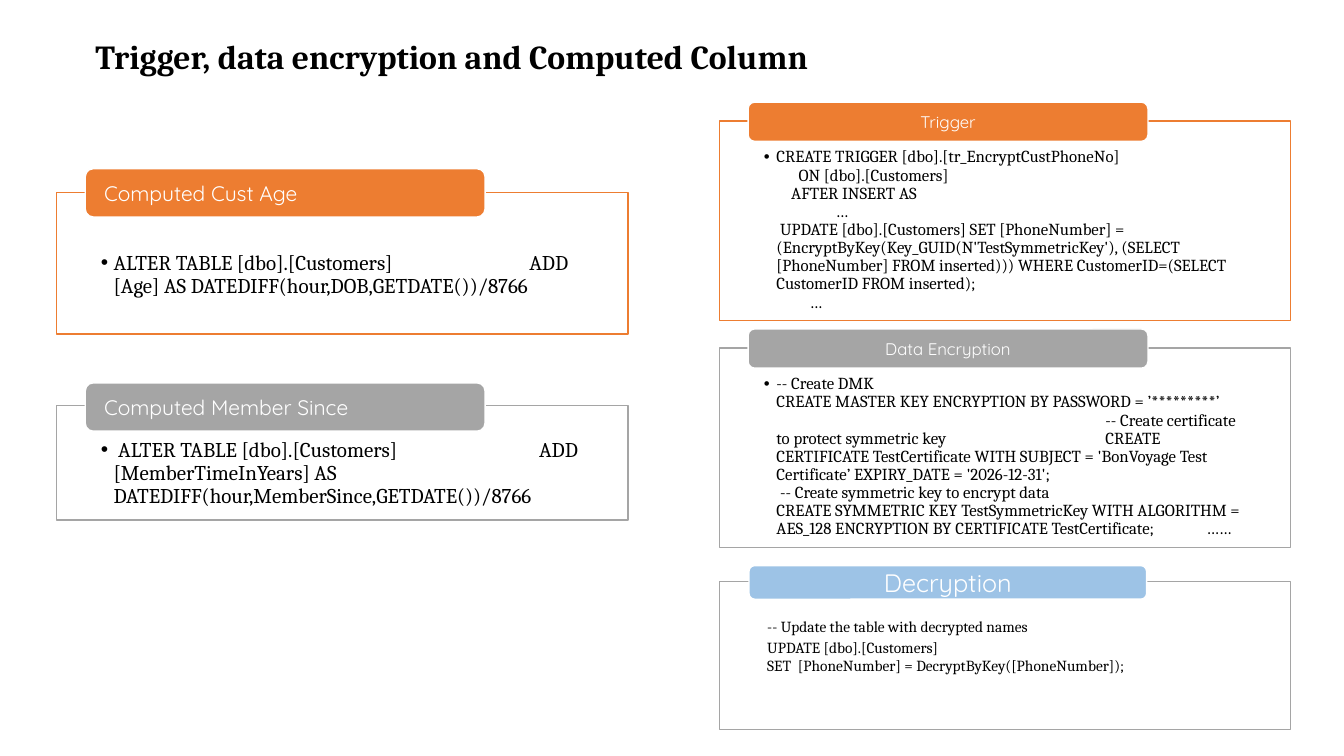
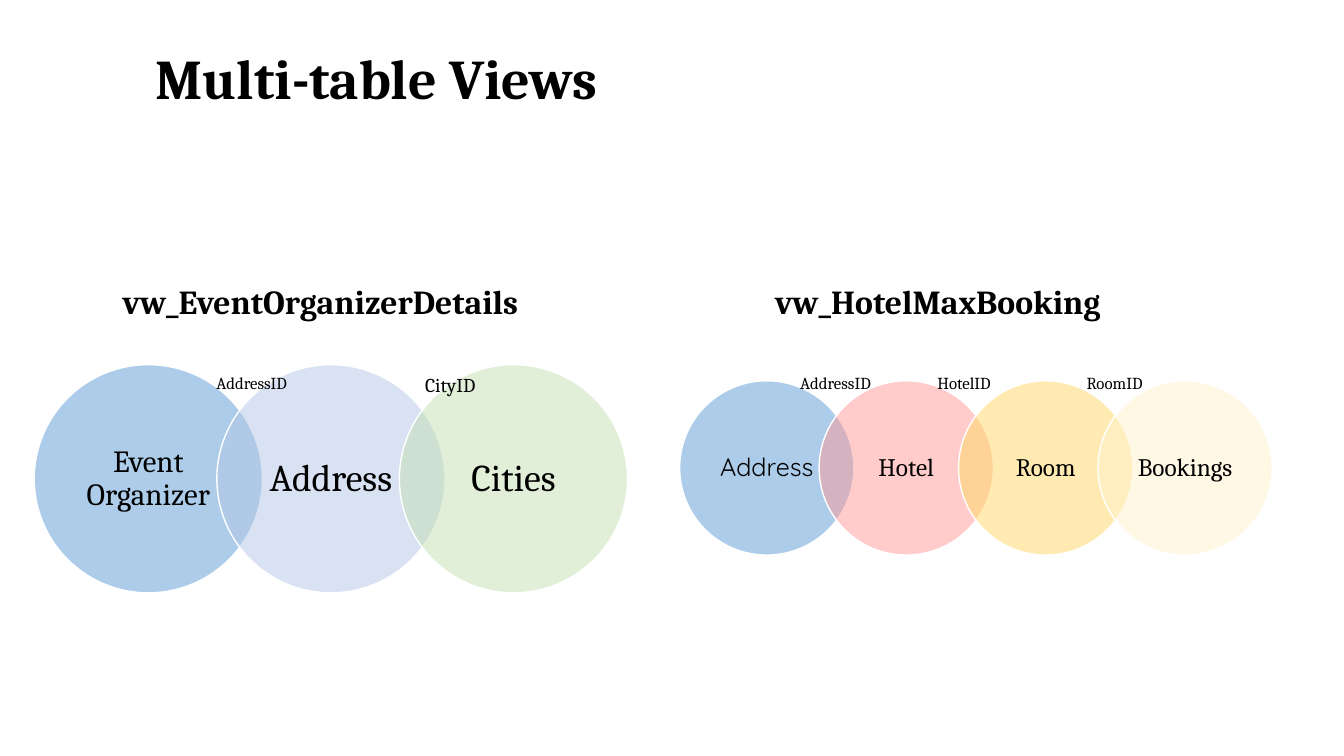
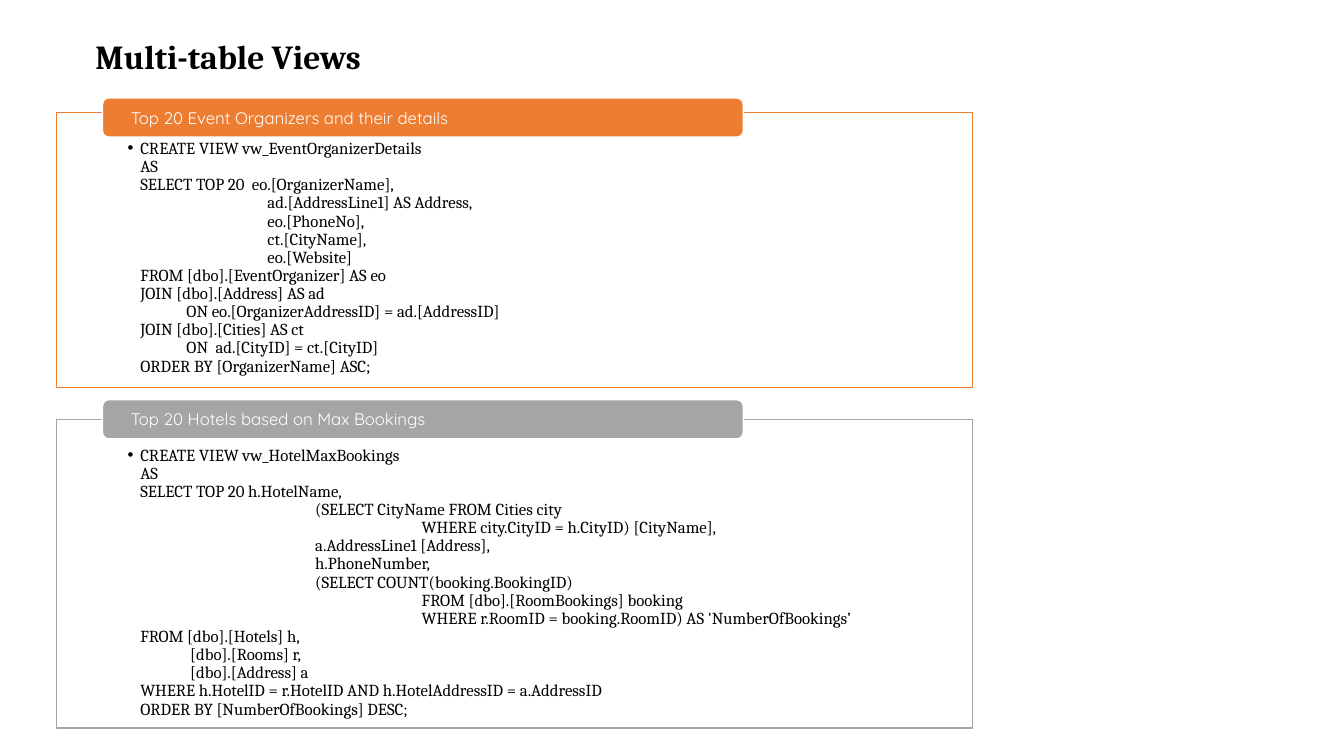
from lxml import etree
from pptx import Presentation
from pptx.dml.color import RGBColor
from pptx.enum import shapes, text
from pptx.oxml import ns
from pptx.util import Pt

# Shared look
CODE_FONT, TAB_FONT = "Cambria", "Quicksand"
BLACK = RGBColor(0x00, 0x00, 0x00)
WHITE = RGBColor(0xFF, 0xFF, 0xFF)
ORANGE = RGBColor(0xED, 0x7D, 0x31)
GREY = RGBColor(0xA5, 0xA5, 0xA5)
SKY = RGBColor(0x9D, 0xC3, 0xE6)
BLUE = RGBColor(0x5B, 0x9B, 0xD5)
PERIWINKLE = RGBColor(0xB4, 0xC7, 0xE7)
GREEN = RGBColor(0xC5, 0xE0, 0xB4)
PINK = RGBColor(0xFF, 0x99, 0x99)
GOLD = RGBColor(0xFF, 0xD9, 0x66)
CREAM = RGBColor(0xFF, 0xF2, 0xCC)
LEFT, CENTER = text.PP_ALIGN.LEFT, text.PP_ALIGN.CENTER
TOP, MIDDLE = text.MSO_ANCHOR.TOP, text.MSO_ANCHOR.MIDDLE
TITLE_BOX = (61, 22, 675, 36)

TRIGGER_SQL = (
    "CREATE TRIGGER [dbo].[tr_EncryptCustPhoneNo]\n"
    "      ON [dbo].[Customers]\n"
    "    AFTER INSERT AS\n"
    "                …\n"
    " UPDATE [dbo].[Customers] SET [PhoneNumber] = "
    "(EncryptByKey(Key_GUID(N'TestSymmetricKey'), (SELECT [PhoneNumber] FROM inserted))) "
    "WHERE CustomerID=(SELECT CustomerID FROM inserted);\n"
    "         …")
ENCRYPTION_SQL = (
    "-- Create DMK\n"
    "CREATE MASTER KEY ENCRYPTION BY PASSWORD = ’*********’\n"
    "\t-- Create certificate to protect symmetric key\tCREATE CERTIFICATE TestCertificate "
    "WITH SUBJECT = 'BonVoyage Test Certificate’ EXPIRY_DATE = '2026-12-31';\n"
    " -- Create symmetric key to encrypt data\n"
    "CREATE SYMMETRIC KEY TestSymmetricKey WITH ALGORITHM = AES_128 ENCRYPTION BY "
    "CERTIFICATE TestCertificate;\t……")
DECRYPTION_SQL = [
    " -- Update the table with decrypted names",
    " UPDATE [dbo].[Customers]",
    " SET  [PhoneNumber] = DecryptByKey([PhoneNumber]);"]
AGE_SQL = ("ALTER TABLE [dbo].[Customers]\tADD [Age] AS "
           "DATEDIFF(hour,DOB,GETDATE())/8766")
MEMBER_SQL = (" ALTER TABLE [dbo].[Customers]\tADD [MemberTimeInYears] AS "
              "DATEDIFF(hour,MemberSince,GETDATE())/8766")
ORGANIZER_SQL = (
    "CREATE VIEW vw_EventOrganizerDetails\n"
    "AS\n"
    "SELECT TOP 20  eo.[OrganizerName],\n"
    "\t\t      ad.[AddressLine1] AS Address,\n"
    "\t\t      eo.[PhoneNo],\n"
    "\t\t      ct.[CityName],\n"
    "\t\t      eo.[Website]\n"
    "FROM [dbo].[EventOrganizer] AS eo\n"
    "JOIN [dbo].[Address] AS ad\n"
    "\tON eo.[OrganizerAddressID] = ad.[AddressID]\n"
    "JOIN [dbo].[Cities] AS ct\n"
    "\tON  ad.[CityID] = ct.[CityID]\n"
    "ORDER BY [OrganizerName] ASC;")
HOTEL_SQL = (
    "CREATE VIEW vw_HotelMaxBookings\n"
    "AS\n"
    "SELECT TOP 20 h.HotelName,\n"
    "\t\t\t   (SELECT CityName FROM Cities city\n"
    "\t\t\t\t\tWHERE city.CityID = h.CityID) [CityName],\n"
    "\t\t\t   a.AddressLine1 [Address],\n"
    "\t\t\t   h.PhoneNumber,\n"
    "\t\t\t   (SELECT COUNT(booking.BookingID)\n"
    "\t\t\t\t\tFROM [dbo].[RoomBookings] booking\n"
    "\t\t\t\t\tWHERE r.RoomID = booking.RoomID) AS 'NumberOfBookings’\n"
    "FROM [dbo].[Hotels] h,\n"
    "\t [dbo].[Rooms] r,\n"
    "\t [dbo].[Address] a\n"
    "WHERE h.HotelID = r.HotelID AND h.HotelAddressID = a.AddressID\n"
    "ORDER BY [NumberOfBookings] DESC;")


def points(*lengths):
    return [Pt(length) for length in lengths]


def set_frame(frame, anchor, insets):
    frame.word_wrap = True
    frame.auto_size = text.MSO_AUTO_SIZE.NONE
    frame.vertical_anchor = anchor
    (frame.margin_left, frame.margin_top,
     frame.margin_right, frame.margin_bottom) = points(*insets)


def style(paragraph, size, color=BLACK, font=CODE_FONT, bold=False, align=LEFT):
    paragraph.alignment = align
    paragraph.font.size = Pt(size)
    paragraph.font.name = font
    paragraph.font.bold = bold
    paragraph.font.color.rgb = color


def add_bullet(paragraph, stops):
    """Hanging bullet, tab stops and default tab width of a code paragraph."""
    props = paragraph._p.get_or_add_pPr()
    props.set("marL", str(Pt(9)))
    props.set("indent", str(Pt(-9)))
    props.set("defTabSz", str(Pt(42)))
    etree.SubElement(props, ns.qn("a:buFont")).set("typeface", "Arial")
    etree.SubElement(props, ns.qn("a:buChar")).set("char", "•")
    if stops:
        tab_list = etree.SubElement(props, ns.qn("a:tabLst"))
        for stop in stops:
            tab = etree.SubElement(tab_list, ns.qn("a:tab"))
            tab.set("pos", str(Pt(stop)))
            tab.set("algn", "l")


def add_filled(slide, kind, box, fill, line):
    shape = slide.shapes.add_shape(kind, *points(*box))
    shape.shadow.inherit = False
    shape.fill.solid()
    shape.fill.fore_color.rgb = fill
    shape.line.color.rgb = line
    shape.line.width = Pt(1)
    return shape


def add_titled_slide(deck, title, box=TITLE_BOX, size=24, anchor=TOP):
    slide = deck.slides.add_slide(deck.slide_layouts.get_by_name("Title Only"))
    heading = slide.shapes.title
    heading.left, heading.top, heading.width, heading.height = points(*box)
    set_frame(heading.text_frame, anchor, (7.2, 3.6, 7.2, 3.6))
    heading.text_frame.text = title
    style(heading.text_frame.paragraphs[0], size, bold=True)
    return slide


def add_tab(slide, box, color, heading, size, align=LEFT, inset=0):
    """Rounded heading that sits on the top edge of a panel."""
    tab = add_filled(slide, shapes.MSO_SHAPE.ROUNDED_RECTANGLE, box, color, WHITE)
    set_frame(tab.text_frame, MIDDLE, (inset, 0, inset, 0))
    label = tab.text_frame.paragraphs[0]
    label.text = heading
    style(label, size, WHITE, TAB_FONT, align=align)


def add_panel_box(slide, box, color, pad_top):
    panel = add_filled(slide, shapes.MSO_SHAPE.RECTANGLE, box, WHITE, color)
    side = round(box[2] * 0.0775, 1)
    set_frame(panel.text_frame, TOP, (side, pad_top, side, 6.5))
    return panel.text_frame


def add_code_panel(slide, box, rise, tab_height, color, heading, code, size=12,
                   pad_top=19.5, stops=(), align=LEFT):
    """Outlined box with bulleted code and a tab standing `rise` above its top."""
    left, top, width, _ = box
    paragraph = add_panel_box(slide, box, color, pad_top).paragraphs[0]
    paragraph.text = code
    add_bullet(paragraph, stops)
    paragraph.line_spacing = 0.9
    style(paragraph, size)
    tab_box = (left + width * 0.05, top - rise, width * 0.7, tab_height)
    add_tab(slide, tab_box, color, heading, size, align,
            0 if align == CENTER else width * 0.029)


def add_decryption_panel(slide, box):
    left, top, width, _ = box
    frame = add_panel_box(slide, box, GREY, 25)
    for i, line in enumerate(DECRYPTION_SQL):
        paragraph = frame.paragraphs[0] if i == 0 else frame.add_paragraph()
        paragraph.text = line
        style(paragraph, 11)
    frame.paragraphs[0].space_after = Pt(2)
    add_tab(slide, (left + 21, top - 11.5, 284, 24), SKY, "Decryption", 18, CENTER)


def add_label(slide, left, top, width, words, size, bold=False):
    label = slide.shapes.add_textbox(*points(left, top, width, size * 1.5))
    set_frame(label.text_frame, TOP, (7.2, 3.6, 7.2, 3.6))
    paragraph = label.text_frame.paragraphs[0]
    paragraph.text = words
    style(paragraph, size, bold=bold)


def add_join_diagram(slide, left, top, diameter, heading, tables, keys):
    """Row of overlapping circles (tables) with the key of each overlap above."""
    for i, (table, color, size, font) in enumerate(tables):
        box = (left + i * diameter * 0.8, top, diameter, diameter)
        circle = add_filled(slide, shapes.MSO_SHAPE.OVAL, box, color, WHITE)
        rgb = circle.fill._xPr.find(".//" + ns.qn("a:srgbClr"))
        etree.SubElement(rgb, ns.qn("a:alpha")).set("val", "50000")
        set_frame(circle.text_frame, MIDDLE, (7.5, 2, 7.5, 2))
        paragraph = circle.text_frame.paragraphs[0]
        paragraph.text = table
        paragraph.line_spacing = 0.9
        style(paragraph, size, font=font, align=CENTER)
    offset, words = heading
    add_label(slide, left + offset, 197, 315, words, 24, bold=True)
    for offset, key, size in keys:
        add_label(slide, left + offset, 263, 90, key, size)


def build_trigger_slide(deck):
    slide = add_titled_slide(deck, "Trigger, data encryption and Computed Column")
    # Right column
    add_code_panel(slide, (514, 86.5, 408, 142.5), 13.5, 28, ORANGE, "Trigger",
                   TRIGGER_SQL, align=CENTER)
    add_code_panel(slide, (514, 248.5, 408, 142.5), 13.5, 28, GREY, "Data Encryption",
                   ENCRYPTION_SQL, stops=(244, 316), align=CENTER)
    add_decryption_panel(slide, (514, 415.5, 408, 105.5))
    # Left column
    add_code_panel(slide, (40.5, 137.5, 408, 101), 17, 34.5, ORANGE,
                   "Computed Cust Age", AGE_SQL, 15, 43, stops=(306,))
    add_code_panel(slide, (40.5, 289.5, 408, 82), 16, 34.5, GREY,
                   "Computed Member Since", MEMBER_SQL, 15, 24.5, stops=(313,))


def build_join_slide(deck):
    slide = add_titled_slide(deck, "Multi-table Views", (104, 16, 784, 78), 40, MIDDLE)
    add_join_diagram(
        slide, 24.5, 260.5, 163, (56, "vw_EventOrganizerDetails"),
        [("Event Organizer", BLUE, 22, CODE_FONT),
         ("Address", PERIWINKLE, 27, CODE_FONT),
         ("Cities", GREEN, 27, CODE_FONT)],
        [(123, "AddressID", 12), (272, "CityID", 14)])
    add_join_diagram(
        slide, 485.5, 272, 124.5, (61, "vw_HotelMaxBooking"),
        [("Address", BLUE, 18, TAB_FONT),
         ("Hotel", PINK, 18, CODE_FONT),
         ("Room", GOLD, 18, CODE_FONT),
         ("Bookings", CREAM, 18, CODE_FONT)],
        [(79, "AddressID", 12), (177, "HotelID", 12), (283.5, "RoomID", 12)])


def build_views_slide(deck):
    slide = add_titled_slide(deck, "Multi-table Views")
    add_code_panel(slide, (40.5, 80.5, 654, 196.5), 10.5, 28, ORANGE,
                   "Top 20 Event Organizers and their details", ORGANIZER_SQL)
    add_code_panel(slide, (40.5, 299.5, 654, 220.5), 14, 28, GREY,
                   "Top 20 Hotels based on Max Bookings", HOTEL_SQL)


def main():
    deck = Presentation()
    deck.slide_width, deck.slide_height = points(960, 540)
    build_trigger_slide(deck)
    build_join_slide(deck)
    build_views_slide(deck)
    deck.save("out.pptx")


if __name__ == "__main__":
    main()
